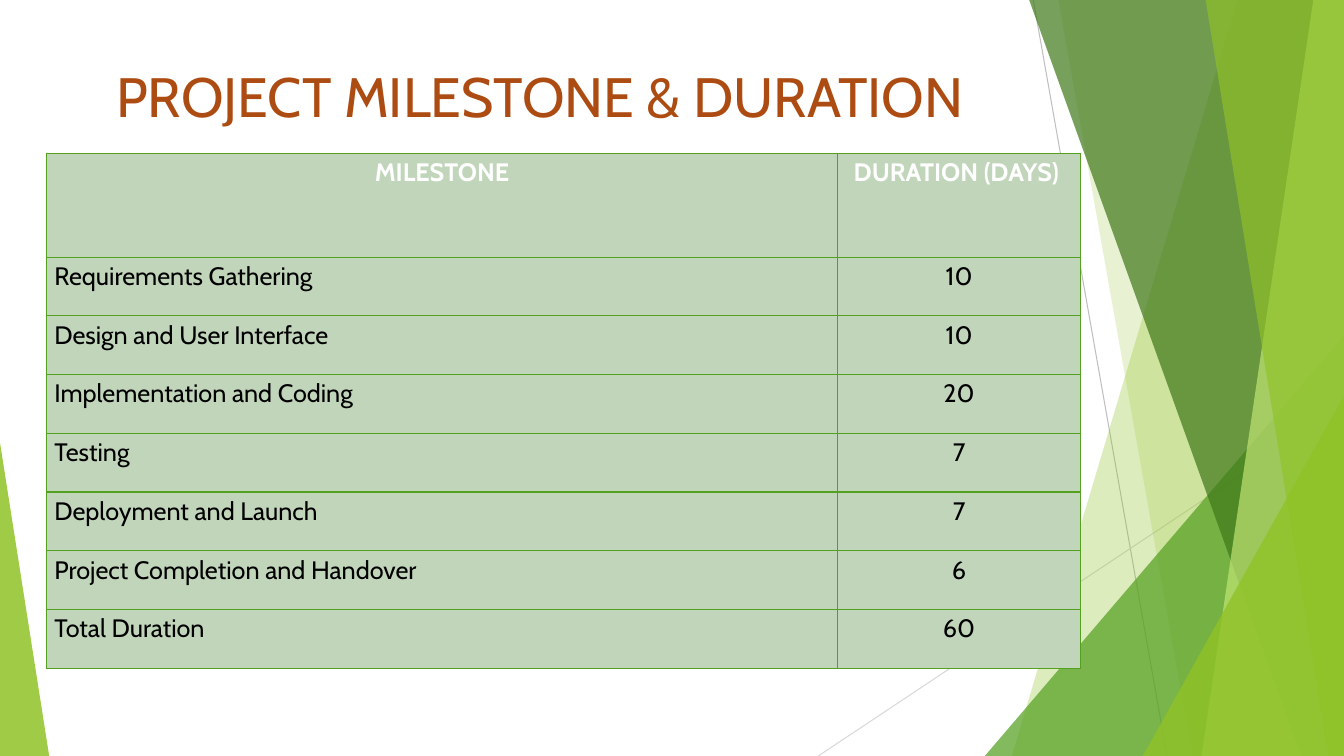
import pptx
import pptx.dml.color
import pptx.enum.shapes
import pptx.enum.text
import pptx.oxml
import pptx.oxml.ns
import pptx.util
from pptx.util import Cm

ALIGN = pptx.enum.text.PP_ALIGN
WIDTH, HEIGHT = 33.87, 19.05
FONT = "Cabin"
COLOURS = {
    "lime": "90C226",
    "green": "54A021",
    "forest": "3F7819",
    "pale": "C0E474",
    "grey": "BFBFBF",
    "light grey": "D9D9D9",
    "rust": "AD4C12",
    "cell": "C1D5BA",
    "white": "FFFFFF",
    "black": "000000",
}
MILESTONES = [
    ("MILESTONE", "DURATION (DAYS) "),
    ("Requirements Gathering ", "10"),
    ("Design and User Interface ", "10"),
    ("Implementation and Coding", "20"),
    ("Testing", "7"),
    ("Deployment and Launch", "7"),
    ("Project Completion and Handover", "6"),
    ("Total Duration", "60"),
]


def rgb(name):
    return pptx.dml.color.RGBColor.from_string(COLOURS[name])


def add_xml(parent, body):
    """Append one DrawingML element, given without its namespace."""
    tag, rest = body.split(" ", 1)
    namespace = pptx.oxml.ns.nsdecls("a")
    parent.append(pptx.oxml.parse_xml(f"<a:{tag} {namespace} {rest}"))


def write(frame, text, size=18, colour="black", bold=False, align=ALIGN.LEFT):
    para = frame.paragraphs[0]
    para.alignment = align
    span = para.add_run()
    span.text = text
    span.font.name = FONT
    span.font.size = pptx.util.Pt(size)
    span.font.bold = bold
    span.font.color.rgb = rgb(colour)


def paint(shape, colour, opacity):
    """Give a shape a translucent fill with no line or shadow."""
    shape.shadow.inherit = False
    shape.line.fill.background()
    shape.fill.solid()
    shape.fill.fore_color.rgb = rgb(colour)
    fill = shape.fill._xPr.find(pptx.oxml.ns.qn("a:solidFill"))
    add_xml(fill[0], f'alpha val="{opacity * 1000}"/>')


def add_line(page, start, end, colour):
    line = page.shapes.add_connector(
        pptx.enum.shapes.MSO_CONNECTOR.STRAIGHT, *map(Cm, start + end))
    line.line.color.rgb = rgb(colour)
    line.line.width = pptx.util.Pt(0.75)
    add_xml(line._element.spPr, "effectLst />")


def add_band(page, top_x, bottom_x, colour, opacity):
    """Fill the area between a slanted edge and the right side of the slide."""
    top = -0.02
    corners = [(WIDTH, top), (WIDTH, HEIGHT), (bottom_x, HEIGHT)]
    builder = page.shapes.build_freeform(Cm(top_x), Cm(top))
    builder.add_line_segments([(Cm(x), Cm(y)) for x, y in corners], close=True)
    paint(builder.convert_to_shape(), colour, opacity)


def add_corner(page, left, width, height, apex, colour, opacity):
    """Stand a right triangle on the bottom edge of the slide."""
    shape = page.shapes.add_shape(
        pptx.enum.shapes.MSO_SHAPE.ISOSCELES_TRIANGLE,
        Cm(left), Cm(HEIGHT - height), Cm(width), Cm(height))
    shape.adjustments[0] = apex
    paint(shape, colour, opacity)


def add_backdrop(page):
    add_line(page, (26.04, 0), (29.41, HEIGHT), "grey")
    add_line(page, (WIDTH, 10.24), (20.62, HEIGHT), "light grey")
    add_band(page, 31.19, 25.5, "lime", 30)
    add_band(page, 26.67, 30.05, "lime", 20)
    add_corner(page, 24.82, 9.05, 10.59, 1, "green", 72)
    add_band(page, 25.93, 32.79, "forest", 70)
    add_band(page, 33.1, 30.28, "pale", 70)
    add_band(page, 30.38, 33.48, "lime", 65)
    add_corner(page, 28.8, 5.07, 9.07, 1, "lime", 80)
    add_corner(page, 0, 1.24, 7.9, 0, "lime", 85)


def add_title(page, text):
    title = page.shapes.title
    title.left, title.top, title.width, title.height = map(
        Cm, (2.67, 0.97, 22.48, 2.41))
    title.text_frame.vertical_anchor = pptx.enum.text.MSO_ANCHOR.BOTTOM
    write(title.text_frame, text, size=39.6, colour="rust")


def format_cell(cell):
    cell.margin_left = cell.margin_right = Cm(0.2)
    cell.margin_top = cell.margin_bottom = Cm(0.1)
    properties = cell._tc.get_or_add_tcPr()
    for side in ("lnL", "lnR", "lnT", "lnB"):
        add_xml(properties, f'{side} w="12700"><a:solidFill><a:srgbClr '
                            f'val="{COLOURS["green"]}"/></a:solidFill></a:{side}>')
    cell.fill.solid()
    cell.fill.fore_color.rgb = rgb("cell")


def add_milestones(page, rows):
    widths = (19.94, 6.12)
    heights = [2.62] + [1.48] * (len(rows) - 1)
    table = page.shapes.add_table(
        len(rows), len(widths), Cm(1.17), Cm(3.86),
        Cm(sum(widths)), Cm(sum(heights))).table
    for column, width in zip(table.columns, widths):
        column.width = Cm(width)
    for r, (texts, height) in enumerate(zip(rows, heights)):
        table.rows[r].height = Cm(height)
        header = r == 0
        for c, text in enumerate(texts):
            cell = table.cell(r, c)
            format_cell(cell)
            write(cell.text_frame, text, bold=header,
                  colour="white" if header else "black",
                  align=ALIGN.CENTER if header or c == 1 else ALIGN.LEFT)


def main():
    deck = pptx.Presentation()
    deck.slide_width, deck.slide_height = Cm(WIDTH), Cm(HEIGHT)
    page = deck.slides.add_slide(deck.slide_layouts.get_by_name("Title Only"))
    add_backdrop(page)
    add_title(page, "PROJECT MILESTONE & DURATION")
    add_milestones(page, MILESTONES)
    deck.save("out.pptx")


if __name__ == "__main__":
    main()
